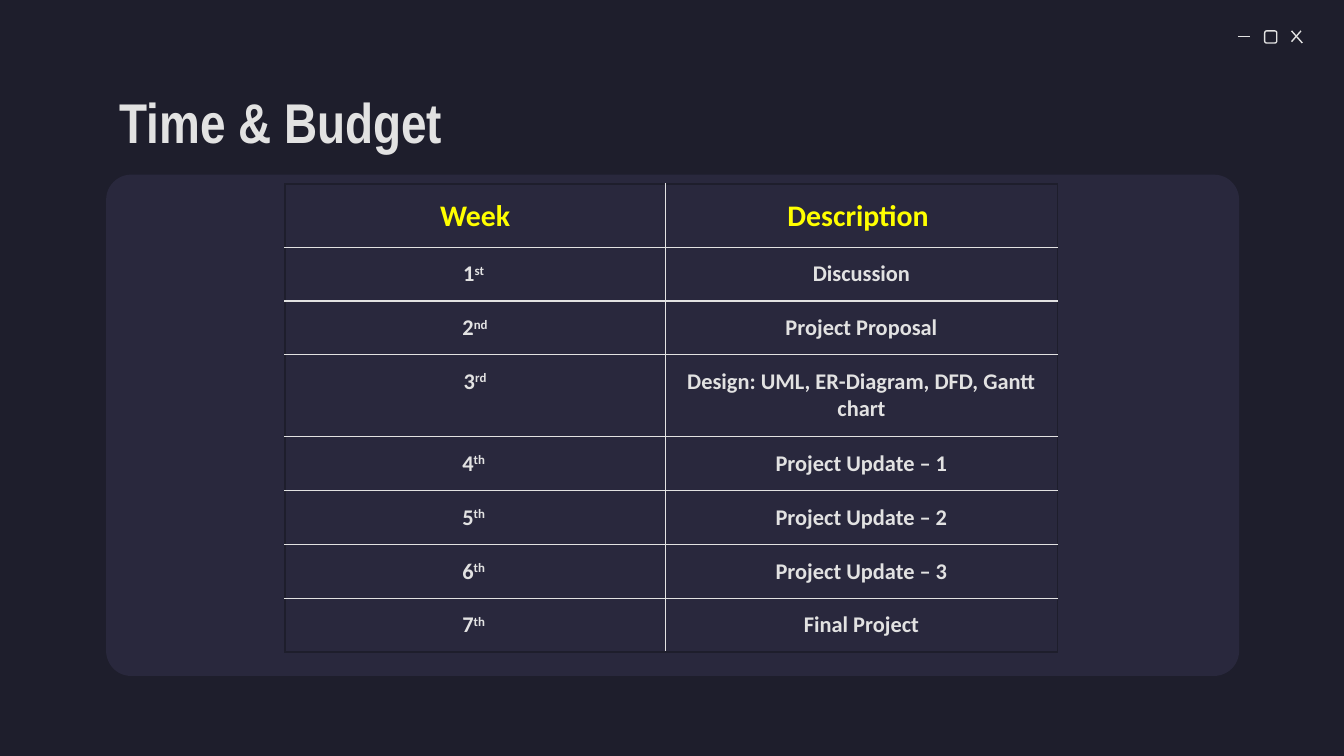
from pptx import Presentation
from pptx import util as u
from pptx.dml.color import RGBColor
from pptx.enum import shapes, text
from pptx.oxml.ns import qn
from lxml import etree

DARK, PANEL, LIGHT, YELLOW = "1E1E2C", "29283D", "E2E2E2", "FFFF00"


def color(hex_code):
    return RGBColor.from_string(hex_code)


class SlideBuilder:
    title_font, body_font = "Arial Narrow", "Calibri"
    line_width = 0.75
    margin = u.Inches(0.1)

    def __init__(self, slide):
        self.slide = slide
        slide.background.fill.solid()
        slide.background.fill.fore_color.rgb = color(DARK)

    def style_font(self, font, name, size, hex_code):
        font.name, font.size, font.bold = name, u.Pt(size), True
        font.color.rgb = color(hex_code)

    def rounded(self, left, top, width, height, radius, fill=None, line=None):
        shape = self.slide.shapes.add_shape(
            shapes.MSO_SHAPE.ROUNDED_RECTANGLE,
            *map(u.Inches, (left, top, width, height)))
        shape.adjustments[0] = radius
        shape.shadow.inherit = False
        for part, hex_code in ((shape.fill, fill), (shape.line.fill, line)):
            if hex_code:
                part.solid()
                part.fore_color.rgb = color(hex_code)
            else:
                part.background()
        if line:
            shape.line.width = u.Pt(self.line_width)

    def line(self, x1, y1, x2, y2):
        connector = self.slide.shapes.add_connector(
            shapes.MSO_CONNECTOR.STRAIGHT, *map(u.Inches, (x1, y1, x2, y2)))
        connector.line.color.rgb = color(LIGHT)
        connector.line.width = u.Pt(self.line_width)
        etree.SubElement(connector._element.spPr, qn("a:effectLst"))

    def title(self, words, left, top, width, height):
        box = self.slide.shapes.add_textbox(
            *map(u.Inches, (left, top, width, height)))
        frame = box.text_frame
        frame.word_wrap = True
        frame.vertical_anchor = text.MSO_ANCHOR.MIDDLE
        frame.margin_left = frame.margin_right = self.margin
        frame.margin_top = frame.margin_bottom = self.margin
        paragraph = frame.paragraphs[0]
        paragraph.text = words
        self.style_font(paragraph.font, self.title_font, 30, LIGHT)

    def border(self, cell, side, hex_code, width):
        line = etree.SubElement(cell._tc.get_or_add_tcPr(), qn("a:ln" + side),
                                w=str(u.Pt(width)))
        fill = etree.SubElement(line, qn("a:solidFill"))
        etree.SubElement(fill, qn("a:srgbClr"), val=hex_code)

    def cell(self, cell, words, suffix, size, hex_code, outer_sides):
        cell.margin_left = cell.margin_right = self.margin
        cell.margin_top = cell.margin_bottom = self.margin
        paragraph = cell.text_frame.paragraphs[0]
        paragraph.alignment = text.PP_ALIGN.CENTER
        self.style_font(paragraph.font, self.body_font, size, hex_code)
        paragraph.add_run().text = words
        if suffix:
            raised = paragraph.add_run()
            raised.text = suffix
            raised._r.get_or_add_rPr().set("baseline", "30000")
        for side in "LRTB":
            outer = side in outer_sides
            self.border(cell, side, DARK if outer else LIGHT,
                        1 if outer else self.line_width)
        cell.fill.background()

    def table(self, rows, left, top, widths, heights):
        table = self.slide.shapes.add_table(
            len(rows), len(widths), u.Inches(left), u.Inches(top),
            u.Inches(sum(widths)), u.Inches(sum(heights))).table
        table.first_row = table.horz_banding = False
        for column, width in zip(table.columns, widths):
            column.width = u.Inches(width)
        for index, (week, suffix, description) in enumerate(rows):
            table.rows[index].height = u.Inches(heights[index])
            size, hex_code = (12, LIGHT) if index else (16, YELLOW)
            edge = {0: "T", len(rows) - 1: "B"}.get(index, "")
            self.cell(table.cell(index, 0), week, suffix, size, hex_code, "L" + edge)
            self.cell(table.cell(index, 1), description, "", size, hex_code, "R" + edge)
        table.cell(0, 0).vertical_anchor = text.MSO_ANCHOR.MIDDLE


def main():
    presentation = Presentation()
    # Widescreen, 16:9
    presentation.slide_width = u.Inches(10)
    presentation.slide_height = presentation.slide_width * 9 // 16
    builder = SlideBuilder(presentation.slides.add_slide(presentation.slide_layouts[6]))

    # Content panel
    builder.rounded(0.79, 1.3, 8.43, 3.73, 0.05, fill=PANEL)

    # Window buttons: minimise, maximise, close
    builder.line(9.21, 0.27, 9.3, 0.27)
    builder.rounded(9.41, 0.23, 0.09, 0.09, 0.17, line=LIGHT)
    builder.line(9.61, 0.23, 9.69, 0.32)
    builder.line(9.68, 0.23, 9.61, 0.31)

    builder.title("Time & Budget", 0.79, 0.59, 8.43, 0.63)

    # Weekly schedule
    schedule = [
        ("Week", "", "Description "),
        ("1", "st ", "Discussion"),
        ("2", "nd", "Project Proposal"),
        ("3", "rd", "Design: UML, ER-Diagram, DFD, Gantt chart"),
        ("4", "th ", "Project Update – 1"),
        ("5", "th ", "Project Update – 2"),
        ("6", "th ", "Project Update – 3"),
        ("7", "th ", "Final Project"),
    ]
    heights = [0.47, 0.4, 0.4, 0.61] + [0.4] * 4
    builder.table(schedule, 2.12, 1.37, (2.83, 2.92), heights)

    presentation.save("out.pptx")


if __name__ == "__main__":
    main()
